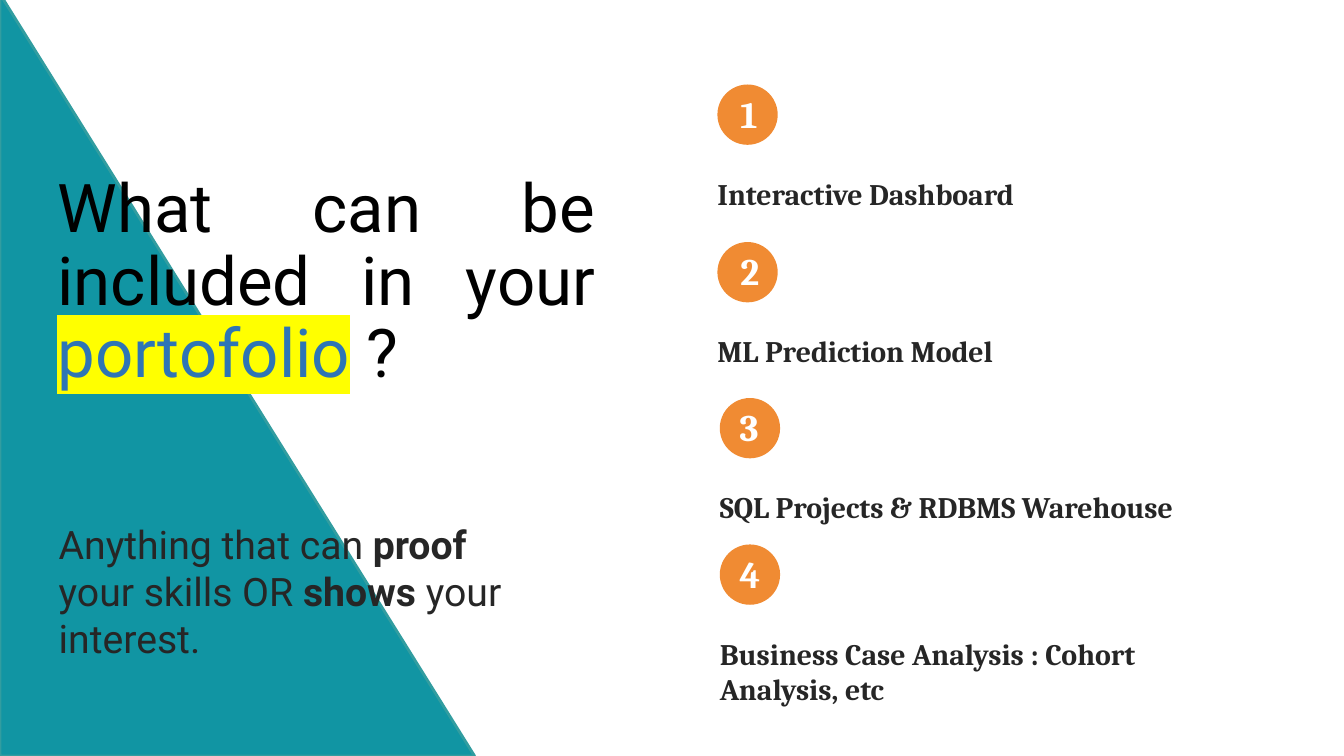
"""Build the slide on what a portfolio can include."""
from lxml import etree
from pptx import Presentation
from pptx.dml.color import RGBColor
from pptx.enum import shapes, text
from pptx.oxml import ns
from pptx.util import Cm, Pt

COLORS = {
    "teal": "1195A3", "edge": "329DA0", "orange": "F08B33", "black": "000000",
    "blue": "2E75B5", "yellow": "FFFF00", "dark": "262626", "white": "FFFFFF",
}
TITLE = [
    ("What can be included in your ", "black", None),
    ("portofolio", "blue", "yellow"),
    (" ?", "black", None),
]
BODY = [
    ("Anything that can ", False),
    ("proof ", True),
    ("your skills OR ", False),
    ("shows ", True),
    ("your interest.", False),
]
# label, circle left, circle top, text width, number indent, text height
ITEMS = [
    ("Interactive Dashboard", 18.08, 2.13, 12.88, 0.61, 3.07),
    ("ML Prediction Model", 18.08, 6.1, 12.88, 0.61, 3.07),
    ("SQL Projects & RDBMS Warehouse", 18.14, 10.03, 15.21, 0.53, 3.07),
    ("Business Case Analysis : Cohort Analysis, etc", 18.14, 13.72, 12.88, 0.53, 3.99),
]
DIAMETER = 1.52
INDENT = 0.03


def rgb(name):
    return RGBColor.from_string(COLORS[name])


def add_filled(slide, kind, box, fill, line=None):
    sp = slide.shapes.add_shape(kind, *map(Cm, box))
    sp.shadow.inherit = False
    sp.fill.solid()
    sp.fill.fore_color.rgb = rgb(fill)
    if line:
        sp.line.color.rgb = rgb(line)
        sp.line.width = Pt(2)
    else:
        sp.line.fill.background()


def add_text(slide, box):
    tf = slide.shapes.add_textbox(*map(Cm, box)).text_frame
    tf.word_wrap = True
    tf.margin_left = tf.margin_right = tf.margin_bottom = 0
    tf.margin_top = Cm(0.03)
    return tf


def add_run(p, words, font, size, color, bold=False, highlight=None):
    r = p.add_run()
    r.text = words
    r.font.name = font
    r.font.size = Pt(size)
    r.font.bold = bold
    r.font.color.rgb = rgb(color)
    if highlight:
        mark = etree.Element(ns.qn("a:highlight"))
        etree.SubElement(mark, ns.qn("a:srgbClr"), val=COLORS[highlight])
        r.font._element.find(ns.qn("a:solidFill")).addnext(mark)


def indent(p, size):
    p._p.get_or_add_pPr().set("marL", str(Cm(size)))


def main():
    prs = Presentation()
    prs.slide_width, prs.slide_height = Cm(33.87), Cm(19.05)
    slide = prs.slides.add_slide(prs.slide_layouts[6])
    add_filled(slide, shapes.MSO_SHAPE.RIGHT_TRIANGLE, (0, -0.15, 11.96, 19.2), "teal", "edge")

    p = add_text(slide, (1.45, 4.37, 13.56, 5.56)).paragraphs[0]
    p.alignment = text.PP_ALIGN.JUSTIFY
    p.line_spacing = 0.9
    for words, color, highlight in TITLE:
        add_run(p, words, "Roboto", 48, color, highlight=highlight)

    p = add_text(slide, (1.45, 13.08, 12.01, 3.61)).paragraphs[0]
    indent(p, INDENT)
    for words, bold in BODY:
        add_run(p, words, "Roboto", 28, "dark", bold)

    for number, (label, left, top, width, inset, height) in enumerate(ITEMS, 1):
        add_filled(slide, shapes.MSO_SHAPE.OVAL, (left, top, DIAMETER, DIAMETER), "orange")
        tf = add_text(slide, (left - 0.03, top + 0.13, width, height))
        p = tf.paragraphs[0]
        indent(p, inset)
        add_run(p, str(number), "Cambria", 26.7, "white", True)
        p = tf.add_paragraph()
        indent(p, INDENT)
        p.space_before = Pt(28.4)
        add_run(p, label, "Cambria", 21.3, "dark", True)

    prs.save("out.pptx")


if __name__ == "__main__":
    main()
